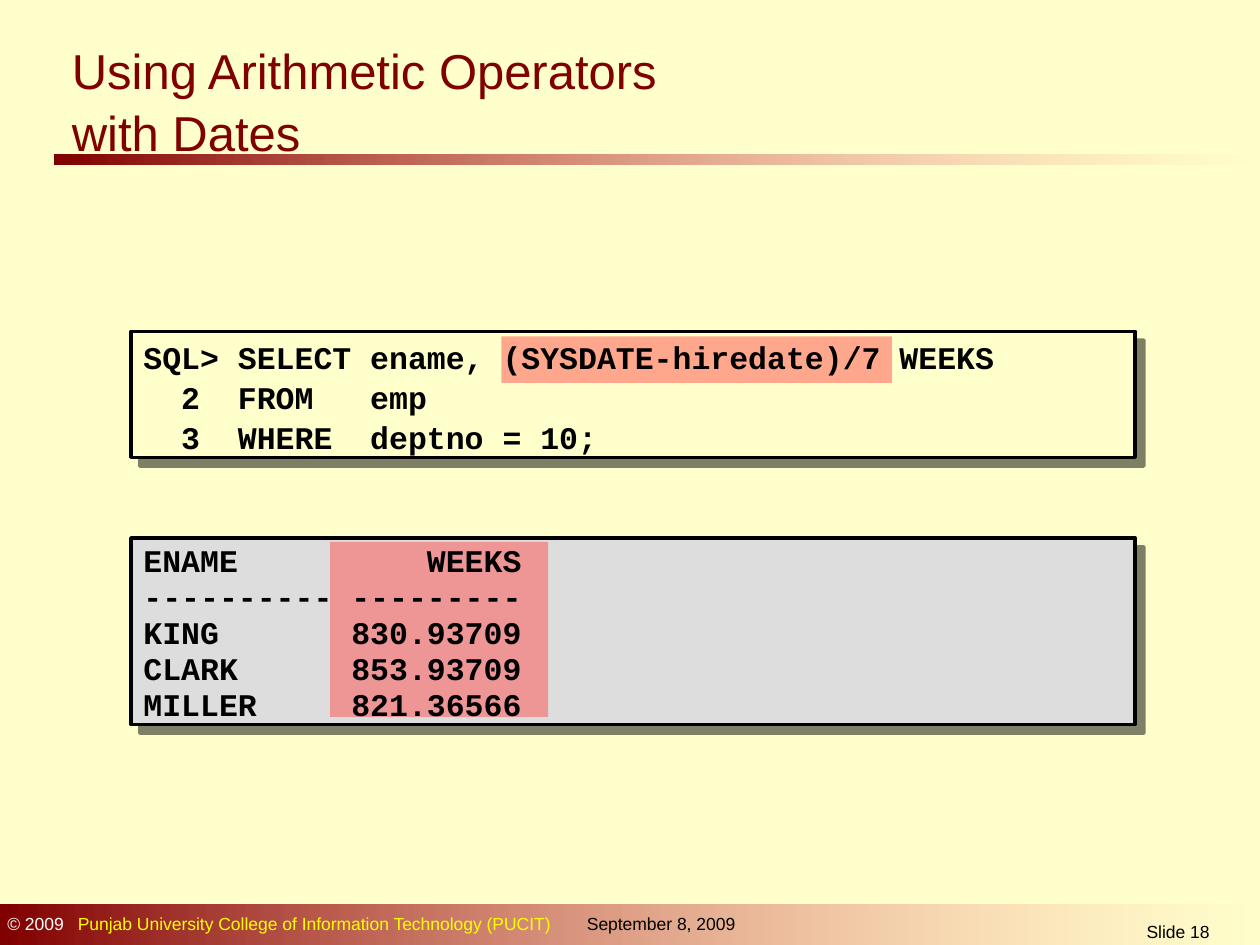
from pptx import Presentation
from pptx.dml.color import RGBColor
from pptx.enum.shapes import MSO_SHAPE
from pptx.enum.text import MSO_ANCHOR, PP_ALIGN
from pptx.oxml.ns import qn
from pptx.util import Inches, Pt
from lxml import etree

RECT = MSO_SHAPE.RECTANGLE
TOP, MIDDLE = MSO_ANCHOR.TOP, MSO_ANCHOR.MIDDLE
LEFT, CENTER = PP_ALIGN.LEFT, PP_ALIGN.CENTER
COLS, ROWS = 100, 75  # grid cells of a tenth of an inch
HEX = {"paper": "FFFFCC", "maroon": "800000", "rose": "FF8585",
       "mark": "FF5050", "gray": "DDDDDD", "black": "000000",
       "white": "FFFFFF", "yellow": "FFFF00"}


def color(name):
    return RGBColor.from_string(HEX[name])


def add_xml(parent, tag, **attrs):
    node = etree.SubElement(parent, qn(tag))
    for key, value in attrs.items():
        node.set(key, str(value))
    return node


class Deck:
    def __init__(self):
        self.prs = Presentation()
        self.prs.slide_width, self.prs.slide_height = Inches(10), Inches(7.5)
        self.slide = self.prs.slides.add_slide(self.prs.slide_layouts[5])
        fill = self.slide.background.fill
        fill.solid()
        fill.fore_color.rgb = color("paper")

    def place(self, col, row, wide, high):
        cell_w = self.prs.slide_width / COLS
        cell_h = self.prs.slide_height / ROWS
        return (int(col * cell_w), int(row * cell_h),
                int(wide * cell_w), int(high * cell_h))

    def style(self, font, size, ink, face="Arial", bold=False):
        font.name, font.size, font.bold = face, Pt(size), bold
        font.color.rgb = color(ink)

    def title(self, text, *area):
        box = self.slide.shapes.title
        box.left, box.top, box.width, box.height = self.place(*area)
        frame = box.text_frame
        frame.text = text
        frame.vertical_anchor = TOP
        para = frame.paragraphs[0]
        para.alignment, para.line_spacing = LEFT, 1.05
        for run in para.runs:
            self.style(run.font, 28, "maroon")

    def rect(self, *area):
        shape = self.slide.shapes.add_shape(RECT, *self.place(*area))
        shape.shadow.inherit = False
        shape.line.fill.background()
        return shape

    def fade(self, *area):
        shape = self.rect(*area)
        shape.fill.gradient()
        shape.fill.gradient_angle = 0
        for stop, name, pos in zip(shape.fill.gradient_stops,
                                   ("maroon", "rose"), (0, 1)):
            stop.color.rgb, stop.position = color(name), pos
        tint = list(shape._element.spPr.iter(qn("a:srgbClr")))[-1]
        add_xml(tint, "a:alpha", val=0)

    def panel(self, fill, *area):
        shape = self.rect(*area)
        shape.fill.solid()
        shape.fill.fore_color.rgb = color(fill)
        shape.line.color.rgb, shape.line.width = color("black"), Pt(2)
        effects = shape._element.spPr.find(qn("a:effectLst"))
        shade = add_xml(effects, "a:outerShdw", dist=Pt(7.1),
                        dir=45 * 60000, algn="ctr", rotWithShape=0)
        tint = add_xml(shade, "a:srgbClr", val=HEX["black"])
        add_xml(tint, "a:alpha", val=50000)

    def mark(self, *area):
        shape = self.rect(*area)
        shape.fill.solid()
        shape.fill.fore_color.rgb = color("mark")
        tint = next(shape._element.spPr.iter(qn("a:srgbClr")))
        add_xml(tint, "a:alpha", val=50000)

    def box(self, anchor, *area):
        frame = self.slide.shapes.add_textbox(*self.place(*area)).text_frame
        frame.word_wrap, frame.vertical_anchor = True, anchor
        return frame

    def code(self, text, space, anchor, *area):
        frame = self.box(anchor, *area)
        frame.text = text
        for para in frame.paragraphs:
            para.line_spacing = space
            for run in para.runs:
                self.style(run.font, 18, "black", "Courier New", True)

    def note(self, parts, align, *area, tab=None):
        para = self.box(TOP, *area).paragraphs[0]
        para.alignment = align
        if tab:
            tabs = add_xml(para._p.get_or_add_pPr(), "a:tabLst")
            add_xml(tabs, "a:tab", pos=self.place(tab, 0, 0, 0)[0], algn="l")
        for text, ink in parts:
            run = para.add_run()
            run.text = text
            self.style(run.font, 10, ink)


def main():
    deck = Deck()

    # Title and its rule
    deck.fade(4.3, 12.3, 95.7, 0.8)
    deck.title("Using Arithmetic Operators\vwith Dates", 4.7, 2.5, 90.5, 13.3)

    # Footer
    deck.fade(0, 71.8, 100.3, 3.5)
    deck.note([("© 2009", "white"),
               ("\tPunjab University College of Information Technology (PUCIT)",
                "yellow")], LEFT, -0.4, 72, 46.4, 2.7, tab=5.6)
    deck.note([("September 8, 2009", "black")], LEFT, 45.6, 72, 15.4, 2.7)
    deck.note([("Slide 18", "black")], CENTER, 83.1, 72.6, 20.8, 2.4)

    # Panels and highlights
    deck.panel("paper", 10.4, 26.3, 79.7, 10)
    deck.panel("gray", 10.4, 42.7, 79.7, 14.8)
    deck.mark(39.8, 26.7, 31, 3.7)
    deck.mark(26.2, 43, 17.3, 13.9)

    # Query and its result
    deck.code("SQL> SELECT ename, (SYSDATE-hiredate)/7 WEEKS\n"
              "  2  FROM   emp\n"
              "  3  WHERE  deptno = 10;", 1.06, MIDDLE, 10.4, 23.6, 80, 15.7)
    deck.code("ENAME          WEEKS\n"
              "---------- ---------\n"
              "KING       830.93709\n"
              "CLARK      853.93709\n"
              "MILLER     821.36566", 0.95, TOP, 10.4, 42.7, 79.7, 14.5)

    deck.prs.save("out.pptx")


if __name__ == "__main__":
    main()
